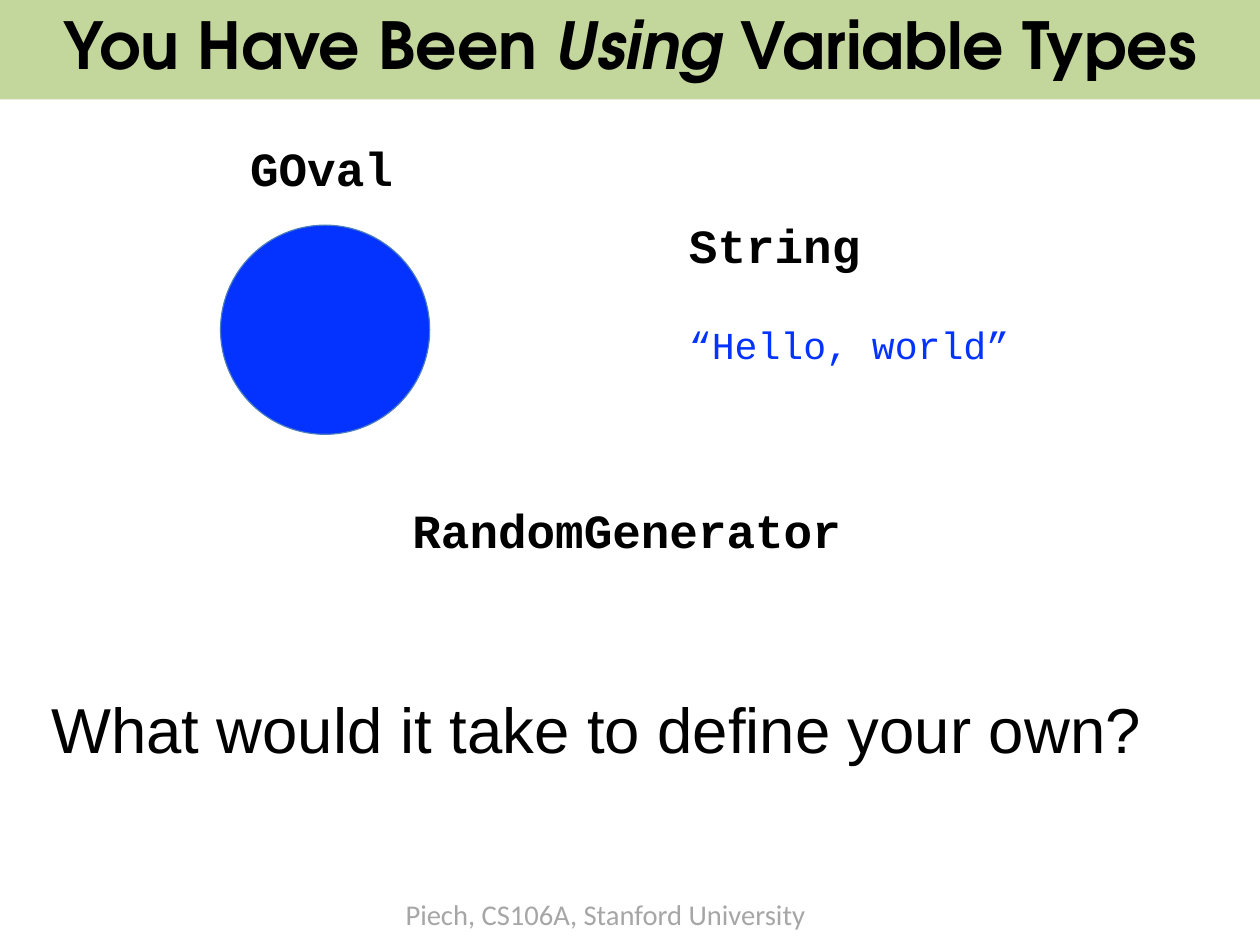
from dataclasses import dataclass

from pptx import Presentation
from pptx.dml.color import RGBColor
from pptx.enum.shapes import MSO_SHAPE
from pptx.enum.text import MSO_ANCHOR, MSO_AUTO_SIZE, PP_ALIGN
from pptx.slide import Slide
from pptx.text.text import _Paragraph as Paragraph
from pptx.util import Inches, Pt

SLIDE_WIDTH = Pt(793.75)
SLIDE_HEIGHT = Pt(595.25)
BLACK = "000000"
BLUE = "0432FF"
CODE_FONT = "Courier New"
LINE_SPACING = 0.93


@dataclass(frozen=True)
class Label:
    text: str
    left: float
    top: float
    width: float
    height: float
    size: float = 30
    font: str = CODE_FONT
    color: str = BLACK
    bold: bool = False


LABELS = [
    Label("Piech, CS106A, Stanford University", 3.45, 7.82, 3.74, 0.38, 18, "Calibri", "A6A6A6"),
    Label("GOval", 2.09, 1.21, 1.46, 0.58, bold=True),
    Label("String", 5.93, 1.88, 1.72, 0.58, bold=True),
    Label("“Hello, world”", 5.93, 2.8, 3.02, 0.48, 24, color=BLUE),
    Label("RandomGenerator", 3.51, 4.38, 3.99, 0.58, bold=True),
    Label("What would it take to define your own?", 0.35, 6.05, 9.84, 0.73, 40, "Arial"),
]


def rgb(color: str) -> RGBColor:
    return RGBColor.from_string(color)


def add_run(paragraph: Paragraph, text: str, size: float, font: str, color: str,
            bold: bool = False, italic: bool = False) -> None:
    run = paragraph.add_run()
    run.text = text
    run.font.size = Pt(size)
    run.font.name = font
    run.font.bold = bold
    run.font.italic = italic
    run.font.color.rgb = rgb(color)


def add_title(slide: Slide) -> None:
    title = slide.shapes.title
    title.left, title.top = Inches(0), Inches(-0.03)
    title.width, title.height = SLIDE_WIDTH, Inches(0.9)
    title.fill.solid()
    title.fill.fore_color.rgb = rgb("C3D69B")
    frame = title.text_frame
    frame.auto_size = MSO_AUTO_SIZE.NONE
    frame.vertical_anchor = MSO_ANCHOR.MIDDLE
    frame.margin_left = frame.margin_right = Inches(0.11)
    frame.margin_top = frame.margin_bottom = Inches(0.06)
    paragraph = frame.paragraphs[0]
    paragraph.alignment = PP_ALIGN.CENTER
    paragraph.line_spacing = LINE_SPACING
    for text, italic in (("You Have Been ", False), ("Using ", True), ("Variable Types", False)):
        add_run(paragraph, text, 40.8, "TeX Gyre Adventor", BLACK, True, italic)


def add_circle(slide: Slide) -> None:
    circle = slide.shapes.add_shape(
        MSO_SHAPE.OVAL, Inches(1.93), Inches(1.97), Inches(1.83), Inches(1.83))
    circle.shadow.inherit = False
    circle.fill.solid()
    circle.fill.fore_color.rgb = rgb(BLUE)
    circle.line.color.rgb = rgb("4B7EBC")
    circle.line.width = Pt(0.75)


def add_label(slide: Slide, label: Label) -> None:
    box = slide.shapes.add_textbox(
        Inches(label.left), Inches(label.top), Inches(label.width), Inches(label.height))
    frame = box.text_frame
    frame.word_wrap = False
    frame.auto_size = MSO_AUTO_SIZE.SHAPE_TO_FIT_TEXT
    paragraph = frame.paragraphs[0]
    paragraph.line_spacing = LINE_SPACING
    add_run(paragraph, label.text, label.size, label.font, label.color, label.bold)


def main() -> None:
    presentation = Presentation()
    presentation.slide_width = SLIDE_WIDTH
    presentation.slide_height = SLIDE_HEIGHT
    slide = presentation.slides.add_slide(presentation.slide_layouts[5])
    add_title(slide)
    add_circle(slide)
    for label in LABELS:
        add_label(slide, label)
    presentation.save("out.pptx")


if __name__ == "__main__":
    main()
